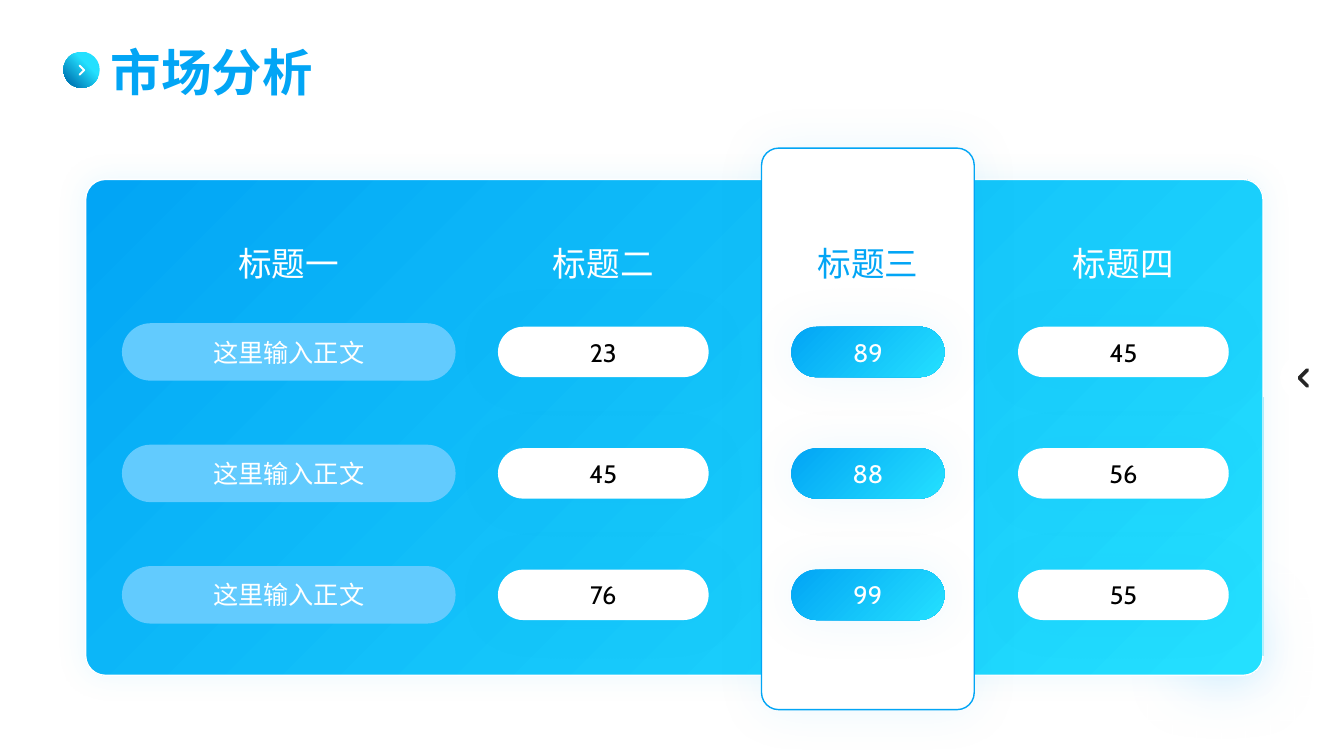
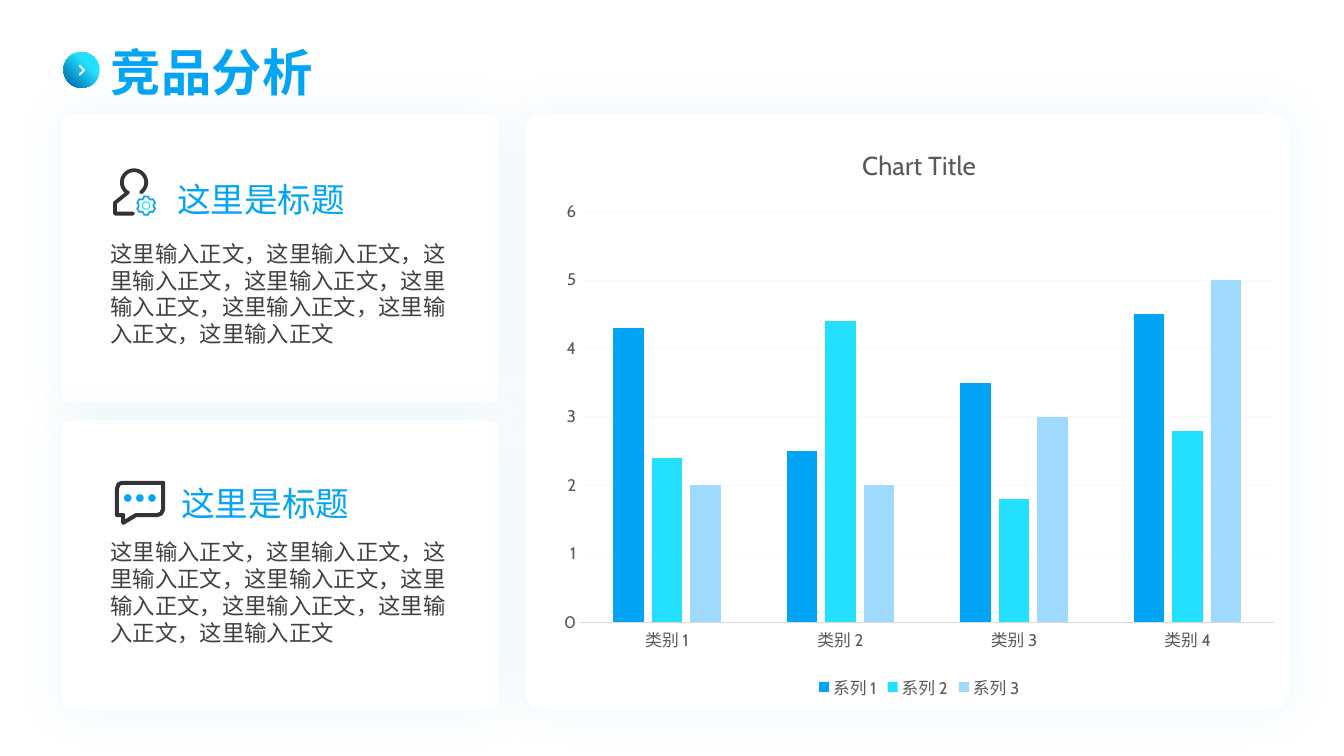
from dataclasses import dataclass
from math import cos, radians, sin

from lxml.etree import SubElement
from pptx import Presentation
from pptx.chart.data import CategoryChartData
from pptx.dml.color import RGBColor
from pptx.enum.chart import XL_CHART_TYPE as ChartType
from pptx.enum.chart import XL_LEGEND_POSITION as LegendPosition
from pptx.enum.chart import XL_TICK_MARK as TickMark
from pptx.enum.shapes import MSO_SHAPE as Preset
from pptx.enum.text import MSO_ANCHOR as Anchor
from pptx.enum.text import MSO_AUTO_SIZE as AutoSize
from pptx.enum.text import PP_ALIGN as Align
from pptx.oxml.ns import qn
from pptx.util import Emu, Pt

UNIT = 76200
COLUMNS, ROWS = 160, 90


@dataclass(frozen=True)
class Theme:
    """Colours, fonts and type sizes of the deck."""
    blue: str = "02A5F5"
    cyan: str = "24E0FF"
    deep: str = "017CB8"
    sky: str = "62CBFE"
    pale: str = "9FDAFE"
    white: str = "FFFFFF"
    black: str = "000000"
    ink: str = "333333"
    arrow: str = "262626"
    body: str = "404040"
    label: str = "595959"
    axis: str = "D9D9D9"
    grid: str = "FAFAFA"
    heading_font: str = "Karla"
    body_font: str = "Cabin"
    title_size: float = 36
    heading_size: float = 24
    value_size: float = 18
    body_size: float = 16
    chart_title_size: float = 18.6
    chart_size: float = 12


THEME = Theme()


@dataclass(frozen=True)
class Box:
    """A rectangle in grid units of the slide."""
    left: float
    top: float
    width: float
    height: float

    def inner(self, left, top, width, height):
        """Return a box placed relative to this one."""
        return Box(self.left + left, self.top + top, width, height)

    def emu(self):
        """Return left, top, width and height in EMU."""
        return [Emu(round(value * UNIT)) for value in (self.left, self.top, self.width, self.height)]


SLIDE = Box(0, 0, COLUMNS, ROWS)


def apply(target, **values):
    """Set every given attribute on the target."""
    for name, value in values.items():
        setattr(target, name, value)


def paint(fill, colors, angle=315, positions=(0, 1)):
    """Fill with one colour, or with a gradient of two."""
    if isinstance(colors, str):
        fill.solid()
        fill.fore_color.rgb = RGBColor.from_string(colors)
        return
    fill.gradient()
    fill.gradient_angle = angle
    for stop, color, position in zip(fill.gradient_stops, colors, positions):
        stop.color.rgb = RGBColor.from_string(color)
        stop.position = position


def style_font(font, color, size, name=THEME.body_font, bold=False):
    """Format a font."""
    apply(font, name=name, size=Pt(size), bold=bold)
    font.color.rgb = RGBColor.from_string(color)


def write(shape, text, color, size, name=THEME.body_font, align=Align.LEFT,
          anchor=Anchor.MIDDLE, bold=False):
    """Put one formatted paragraph into a shape."""
    frame = shape.text_frame
    apply(frame, word_wrap=True, auto_size=AutoSize.NONE, vertical_anchor=anchor, text=text)
    paragraph = frame.paragraphs[0]
    paragraph.alignment = align
    style_font(paragraph.runs[0].font, color, size, name, bold)


def add_text(slide, box, *content, **values):
    """Add a text box."""
    write(slide.shapes.add_textbox(*box.emu()), *content, **values)


def add_effect(shape, kind, color=None, alpha=0, **attributes):
    """Add a shadow or a soft edge to a shape."""
    effects = shape.element.spPr.find(qn("a:effectLst"))
    effect = SubElement(effects, qn(f"a:{kind}"), {key: str(value) for key, value in attributes.items()})
    if color:
        tone = SubElement(effect, qn("a:srgbClr"), val=color)
        SubElement(tone, qn("a:alpha"), val=str(alpha * 1000))


def add_preset(shapes, preset, box, colors, radius=None, line=None, glow=None, **gradient):
    """Add a filled preset shape; glow is colour, opacity and blur."""
    shape = shapes.add_shape(preset, *box.emu())
    shape.shadow.inherit = False
    paint(shape.fill, colors, **gradient)
    if radius is not None:
        shape.adjustments[0] = radius
    if line:
        paint(shape.line.fill, line)
        shape.line.width = Pt(1)
    else:
        shape.line.fill.background()
    if glow:
        color, alpha, blur = glow
        add_effect(shape, "outerShdw", color, alpha, blurRad=Pt(blur), dist=0, dir=0,
                   algn="ctr", rotWithShape=0)
    return shape


SOFT_GLOW = (THEME.blue, 8, 35)


def add_stroke(shapes, box, points, color, width, close=False):
    """Draw a rounded outline through points given relative to a box."""
    vertices = [(round((box.left + x) * UNIT), round((box.top + y) * UNIT)) for x, y in points]
    builder = shapes.build_freeform(*vertices[0], scale=1.0)
    builder.add_line_segments(vertices[1:], close=close)
    shape = builder.convert_to_shape()
    shape.shadow.inherit = False
    shape.fill.background()
    paint(shape.line.fill, color)
    shape.line.width = Pt(width)
    outline = shape.element.spPr.find(qn("a:ln"))
    outline.set("cap", "rnd")
    SubElement(outline, qn("a:round"))


def arc(x, y, radius, start=0, sweep=360, steps=24):
    """Return points along a circular arc."""
    angles = [radians(start + sweep * step / steps) for step in range(steps + 1)]
    return [(x + radius * cos(angle), y + radius * sin(angle)) for angle in angles]


def draw_person(shapes, box):
    """Draw a person with a small gear."""
    body = [(2.4, 5.28), (0.24, 5.28), (0.24, 4), (1.8, 2.76)]
    add_stroke(shapes, box, body + arc(2.52, 1.56, 1.45, 125, 290), THEME.ink, 2.7)
    x, y = 3.96, 4.32
    teeth = [arc(x, y, radius, 60 * tooth + turn + 30, 0, 1)[0]
             for tooth in range(6)
             for turn, radius in ((-22, 0.9), (-13, 1.12), (13, 1.12), (22, 0.9))]
    add_stroke(shapes, box, teeth, THEME.blue, 1.2, close=True)
    add_stroke(shapes, box, arc(x, y, 0.43), THEME.cyan, 0.75, close=True)


def draw_bubble(shapes, box):
    """Draw a speech bubble with three dots."""
    outline = [(0.84, 0.24), (5.76, 0.24), (5.76, 3.36), (5.52, 3.9), (5.04, 4.08), (2.52, 4.08),
               (1, 5), (1, 4.08), (0.24, 4.08), (0.24, 0.96), (0.42, 0.42)]
    add_stroke(shapes, box, outline, THEME.ink, 2.9, close=True)
    for dot in range(3):
        add_preset(shapes, Preset.OVAL, box.inner(1.08 + 1.44 * dot, 1.6, 0.9, 0.9), THEME.blue)


def add_titled_slide(presentation, title):
    """Add a slide with the round badge and the title."""
    slide = presentation.slides.add_slide(presentation.slide_layouts[5])
    box = SLIDE.inner(7.56, 4.3, 64, 8.4)
    placeholder = slide.shapes.title
    apply(placeholder, **dict(zip(("left", "top", "width", "height"), box.inner(4.44, 0, 59, 8.4).emu())))
    write(placeholder, title, THEME.blue, THEME.title_size, THEME.heading_font, bold=True)
    badge = slide.shapes.add_group_shape().shapes
    circle = box.inner(0, 1.85, 4.32, 4.32)
    add_preset(badge, Preset.OVAL, circle, (THEME.cyan, THEME.deep), angle=225, positions=(0.35, 0.85))
    add_stroke(badge, circle, [(1.9, 1.65), (2.46, 2.2), (1.9, 2.75)], THEME.white, 1.4)
    return slide


def add_side_arrow(slide, box):
    """Add the round arrow at the slide's edge."""
    shapes = slide.shapes.add_group_shape().shapes
    add_preset(shapes, Preset.OVAL, box, THEME.white)
    add_stroke(shapes, box, [(3.24, 1.8), (2.28, 2.76), (3.24, 3.72)], THEME.arrow, 2.6)


def add_score_panel(slide, box, columns):
    """Add the gradient panel with its columns of pills."""
    gradient = (THEME.blue, THEME.cyan)
    halo = add_preset(slide.shapes, Preset.OVAL, box.inner(120.72, 41.16, 29.04, 29.04), THEME.pale)
    add_effect(halo, "softEdge", rad=Pt(50))
    add_preset(slide.shapes, Preset.ROUNDED_RECTANGLE, box, gradient, 0.04,
               THEME.white, (THEME.sky, 12, 20))
    looks = {
        "label": (39.72, 6.84, THEME.sky, THEME.white, THEME.white, None),
        "plain": (25.08, 6, THEME.white, THEME.black, THEME.white, SOFT_GLOW),
        "focus": (18.24, 6, gradient, THEME.white, THEME.blue, SOFT_GLOW),
    }
    for heading, look, center, values in columns:
        width, height, fill, color, heading_color, glow = looks[look]
        if look == "focus":
            add_preset(slide.shapes, Preset.ROUNDED_RECTANGLE,
                       box.inner(center - 12.66, -3.72, 25.32, 66.84), THEME.white, 0.08,
                       THEME.blue, SOFT_GLOW)
        add_text(slide, box.inner(center - 15, 6.96, 30, 6), heading, heading_color,
                 THEME.heading_size, THEME.heading_font, align=Align.CENTER)
        for row, value in enumerate(values):
            middle = 20.54 + 14.46 * row
            pill = add_preset(slide.shapes, Preset.ROUNDED_RECTANGLE,
                              box.inner(center - width / 2, middle - height / 2, width, height),
                              fill, 0.5, glow=glow)
            write(pill, value, color, THEME.value_size, align=Align.CENTER)


def add_card(slide, box):
    """Add a white rounded card."""
    add_preset(slide.shapes, Preset.ROUNDED_RECTANGLE, box, THEME.white, 0.03, glow=SOFT_GLOW)


def add_note(slide, box, draw_icon, icon_at, heading_at, body_top):
    """Add an icon, a heading and body text to a card."""
    draw_icon(slide.shapes.add_group_shape().shapes, box.inner(*icon_at, 6, 6))
    add_text(slide, box.inner(*heading_at, 30, 6), "这里是标题", THEME.blue,
             THEME.heading_size, THEME.heading_font)
    add_text(slide, box.inner(4.56, body_top, 42.72, 14.16), "，".join(["这里输入正文"] * 8),
             THEME.body, THEME.body_size, anchor=Anchor.TOP)


def add_column_chart(slide, box, categories, series):
    """Add the clustered column chart."""
    data = CategoryChartData()
    data.categories = categories
    for name, values, _ in series:
        data.add_series(name, values)
    chart = slide.shapes.add_chart(ChartType.COLUMN_CLUSTERED, *box.emu(), data).chart
    style_font(chart.font, THEME.label, THEME.chart_size)
    apply(chart, has_title=True, has_legend=True)
    chart.chart_title.text_frame.text = "Chart Title"
    style_font(chart.chart_title.text_frame.paragraphs[0].runs[0].font, THEME.label, THEME.chart_title_size)
    apply(chart.legend, position=LegendPosition.BOTTOM, include_in_layout=False)
    plot = chart.plots[0]
    apply(plot, gap_width=219, overlap=-27, vary_by_categories=False)
    for item, (_, _, color) in zip(plot.series, series):
        paint(item.format.fill, color)
    for axis in (chart.category_axis, chart.value_axis):
        apply(axis, major_tick_mark=TickMark.NONE, minor_tick_mark=TickMark.NONE)
        style_font(axis.tick_labels.font, THEME.label, THEME.chart_size)
    apply(chart.value_axis, minimum_scale=0, maximum_scale=6, major_unit=1)
    chart.value_axis.format.line.fill.background()
    for line, color in ((chart.category_axis.format.line, THEME.axis),
                        (chart.value_axis.major_gridlines.format.line, THEME.grid)):
        paint(line.fill, color)
        line.width = Pt(0.75)


def build_market_slide(presentation):
    """Build the market analysis slide."""
    slide = add_titled_slide(presentation, "市场分析")
    add_score_panel(slide, SLIDE.inner(10.2, 21.36, 140.16, 59.04), [
        ("标题一", "label", 24.18, ["这里输入正文"] * 3),
        ("标题二", "plain", 61.62, ["23", "45", "76"]),
        ("标题三", "focus", 93.12, ["89", "88", "99"]),
        ("标题四", "plain", 123.54, ["45", "56", "55"]),
    ])
    add_side_arrow(slide, SLIDE.inner(152.4, 42.24, 5.4, 5.4))


def build_competitor_slide(presentation):
    """Build the competitor analysis slide."""
    slide = add_titled_slide(presentation, "竞品分析")
    notes = [(draw_person, (6, 6.6), (12.48, 7.2), 14.4),
             (draw_bubble, (6.24, 7.2), (12.96, 6.84), 13.44)]
    cards = [SLIDE.inner(7.44, 13.56 + 36.48 * row, 51.96, 34.44) for row in range(len(notes))]
    chart_card = SLIDE.inner(62.52, 13.44, 90.96, 71.04)
    for card in (*cards, chart_card):
        add_card(slide, card)
    for card, note in zip(cards, notes):
        add_note(slide, card, *note)
    add_column_chart(slide, chart_card.inner(2.88, 1.56, 88.08, 68.76),
                     [f"类别 {number}" for number in range(1, 5)],
                     [("系列 1", (4.3, 2.5, 3.5, 4.5), THEME.blue),
                      ("系列 2", (2.4, 4.4, 1.8, 2.8), THEME.cyan),
                      ("系列 3", (2, 2, 3, 5), THEME.pale)])


def main():
    """Build and save the deck."""
    presentation = Presentation()
    apply(presentation, slide_width=Emu(COLUMNS * UNIT), slide_height=Emu(ROWS * UNIT))
    build_market_slide(presentation)
    build_competitor_slide(presentation)
    presentation.save("out.pptx")


if __name__ == "__main__":
    main()
